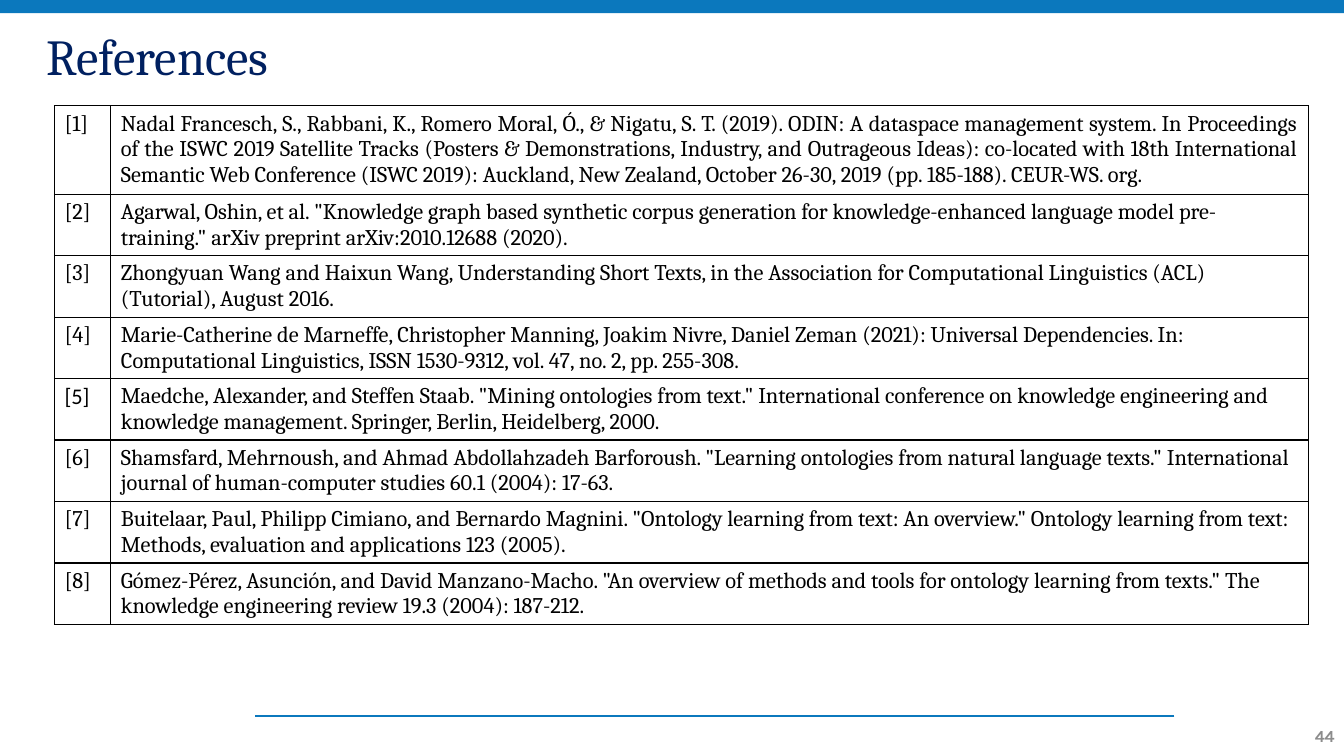
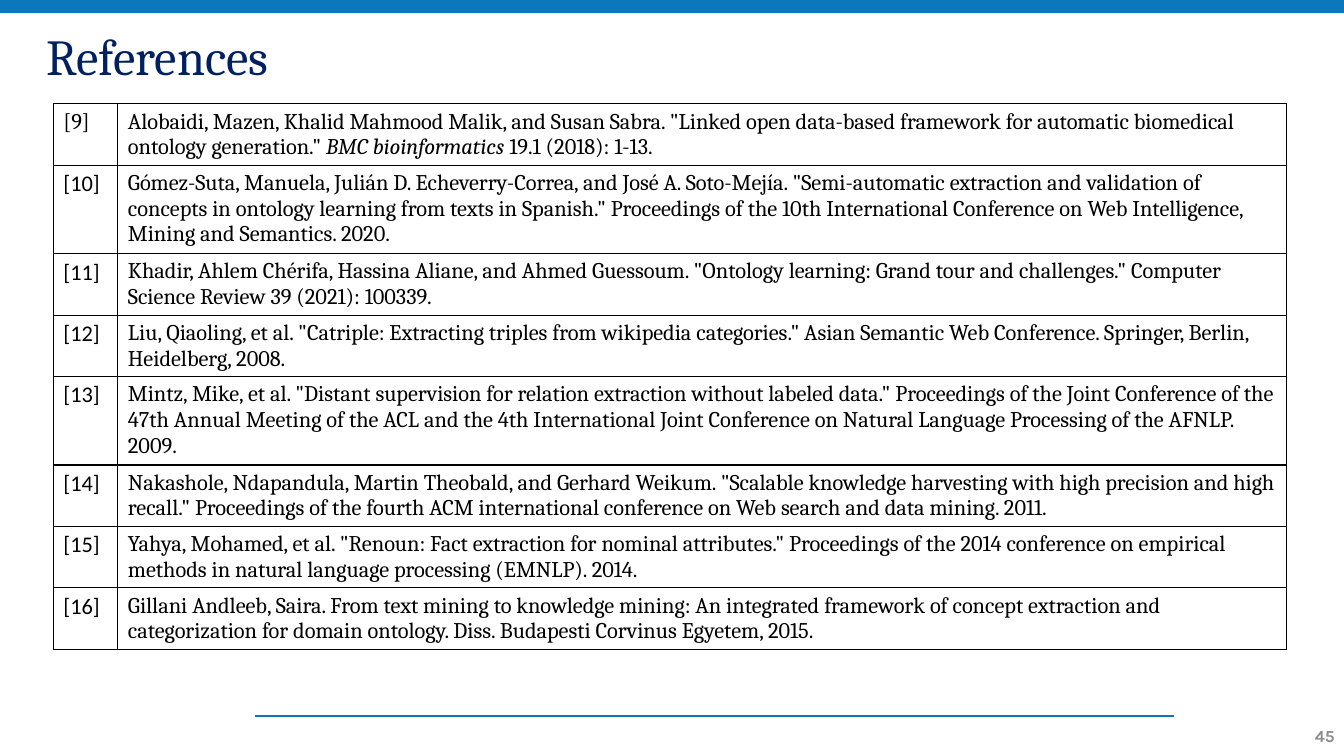
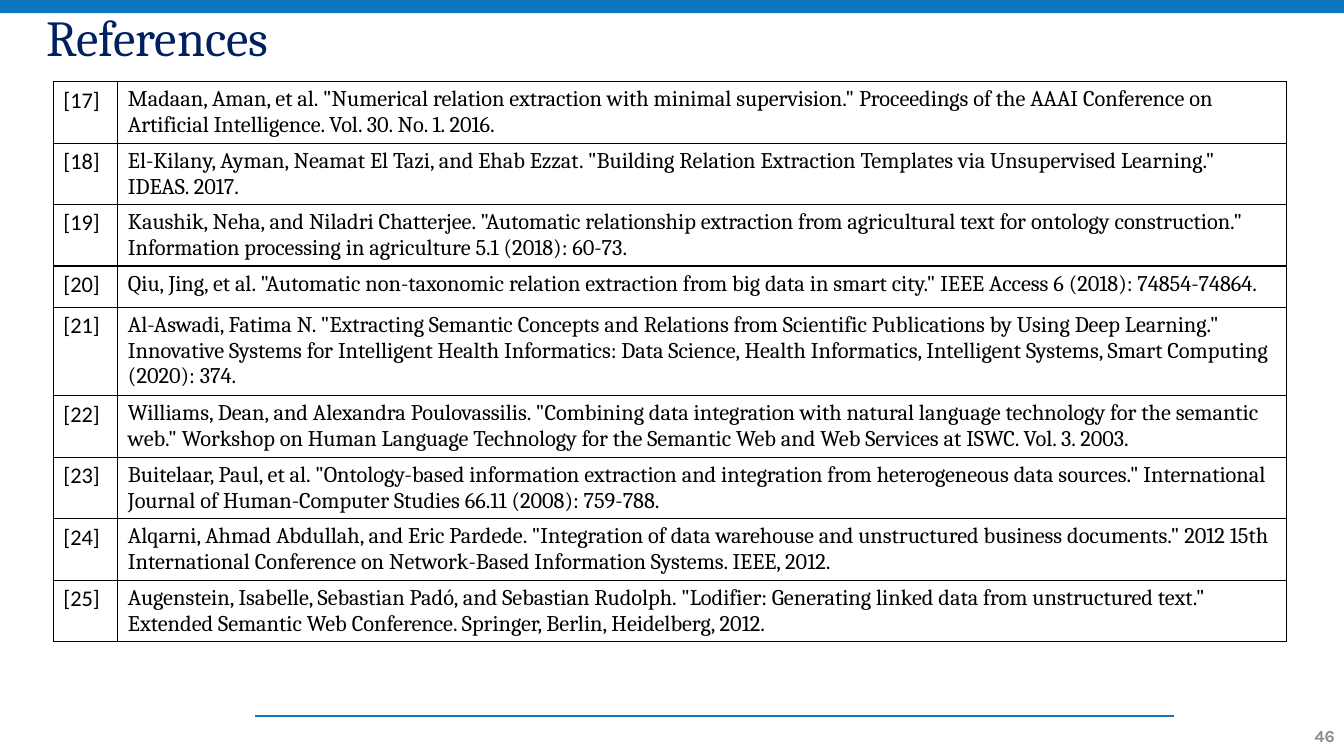
from lxml.etree import SubElement
from pptx import Presentation
from pptx.dml.color import RGBColor
from pptx.enum.shapes import MSO_CONNECTOR, MSO_SHAPE
from pptx.enum.text import MSO_ANCHOR, PP_ALIGN
from pptx.oxml import parse_xml
from pptx.oxml.ns import nsdecls, qn
from pptx.util import Inches, Pt

WIDTH, HEIGHT = 40 / 3, 7.5
BLUE, NAVY, GREY, BLACK = "0B78BD", "002060", "8C8C8C", "000000"
SERIF, SANS, NUMBER_FONT = "Cambria", "Calibri", "Karla"
ROW_HEIGHT = 0.41
FIRST_PAGE = 44
SANS_LABELS = {5, *range(10, 26)}
JUSTIFIED = {1}

PAGES = [
    {
        "title": (0.2, 0.78), "table": (0.54, 1.05), "columns": (0.56, 11.88), "first": 1,
        "references": [
            "Nadal Francesch, S., Rabbani, K., Romero Moral, Ó., & Nigatu, S. T. (2019). ODIN: A dataspace management system. In Proceedings of the ISWC 2019 Satellite Tracks (Posters & Demonstrations, Industry, and Outrageous Ideas): co-located with 18th International Semantic Web Conference (ISWC 2019): Auckland, New Zealand, October 26-30, 2019 (pp. 185-188). CEUR-WS. org.",
            'Agarwal, Oshin, et al. "Knowledge graph based synthetic corpus generation for knowledge-enhanced language model pre-training." arXiv preprint arXiv:2010.12688 (2020).',
            "Zhongyuan Wang and Haixun Wang, Understanding Short Texts, in the Association for Computational Linguistics (ACL) (Tutorial), August 2016.",
            "Marie-Catherine de Marneffe, Christopher Manning, Joakim Nivre, Daniel Zeman (2021): Universal Dependencies. In: Computational Linguistics, ISSN 1530-9312, vol. 47, no. 2, pp. 255-308.",
            'Maedche, Alexander, and Steffen Staab. "Mining ontologies from text." International conference on knowledge engineering and knowledge management. Springer, Berlin, Heidelberg, 2000.',
            'Shamsfard, Mehrnoush, and Ahmad Abdollahzadeh Barforoush. "Learning ontologies from natural language texts." International journal of human-computer studies 60.1 (2004): 17-63.',
            'Buitelaar, Paul, Philipp Cimiano, and Bernardo Magnini. "Ontology learning from text: An overview." Ontology learning from text: Methods, evaluation and applications 123 (2005).',
            'Gómez-Pérez, Asunción, and David Manzano-Macho. "An overview of methods and tools for ontology learning from texts." The knowledge engineering review 19.3 (2004): 187-212.',
        ],
    },
    {
        "title": (0.09, 0.99), "table": (0.53, 1.03), "columns": (0.64, 11.59), "first": 9,
        "references": [
            ('Alobaidi, Mazen, Khalid Mahmood Malik, and Susan Sabra. "Linked open data-based framework for automatic biomedical ontology generation." ', "BMC bioinformatics", " 19.1 (2018): 1-13."),
            'Gómez-Suta, Manuela, Julián D. Echeverry-Correa, and José A. Soto-Mejía. "Semi-automatic extraction and validation of concepts in ontology learning from texts in Spanish." Proceedings of the 10th International Conference on Web Intelligence, Mining and Semantics. 2020.',
            'Khadir, Ahlem Chérifa, Hassina Aliane, and Ahmed Guessoum. "Ontology learning: Grand tour and challenges." Computer Science Review 39 (2021): 100339.',
            'Liu, Qiaoling, et al. "Catriple: Extracting triples from wikipedia categories." Asian Semantic Web Conference. Springer, Berlin, Heidelberg, 2008.',
            'Mintz, Mike, et al. "Distant supervision for relation extraction without labeled data." Proceedings of the Joint Conference of the 47th Annual Meeting of the ACL and the 4th International Joint Conference on Natural Language Processing of the AFNLP. 2009.',
            'Nakashole, Ndapandula, Martin Theobald, and Gerhard Weikum. "Scalable knowledge harvesting with high precision and high recall." Proceedings of the fourth ACM international conference on Web search and data mining. 2011.',
            'Yahya, Mohamed, et al. "Renoun: Fact extraction for nominal attributes." Proceedings of the 2014 conference on empirical methods in natural language processing (EMNLP). 2014.',
            "Gillani Andleeb, Saira. From text mining to knowledge mining: An integrated framework of concept extraction and categorization for domain ontology. Diss. Budapesti Corvinus Egyetem, 2015.",
        ],
    },
    {
        "title": (0.02, 0.76), "table": (0.53, 0.81), "columns": (0.64, 11.59), "first": 17,
        "references": [
            'Madaan, Aman, et al. "Numerical relation extraction with minimal supervision." Proceedings of the AAAI Conference on Artificial Intelligence. Vol. 30. No. 1. 2016.',
            'El-Kilany, Ayman, Neamat El Tazi, and Ehab Ezzat. "Building Relation Extraction Templates via Unsupervised Learning." IDEAS. 2017.',
            'Kaushik, Neha, and Niladri Chatterjee. "Automatic relationship extraction from agricultural text for ontology construction." Information processing in agriculture 5.1 (2018): 60-73.',
            'Qiu, Jing, et al. "Automatic non-taxonomic relation extraction from big data in smart city." IEEE Access 6 (2018): 74854-74864.',
            'Al-Aswadi, Fatima N. "Extracting Semantic Concepts and Relations from Scientific Publications by Using Deep Learning." Innovative Systems for Intelligent Health Informatics: Data Science, Health Informatics, Intelligent Systems, Smart Computing (2020): 374.',
            'Williams, Dean, and Alexandra Poulovassilis. "Combining data integration with natural language technology for the semantic web." Workshop on Human Language Technology for the Semantic Web and Web Services at ISWC. Vol. 3. 2003.',
            'Buitelaar, Paul, et al. "Ontology-based information extraction and integration from heterogeneous data sources." International Journal of Human-Computer Studies 66.11 (2008): 759-788.',
            'Alqarni, Ahmad Abdullah, and Eric Pardede. "Integration of data warehouse and unstructured business documents." 2012 15th International Conference on Network-Based Information Systems. IEEE, 2012.',
            'Augenstein, Isabelle, Sebastian Padó, and Sebastian Rudolph. "Lodifier: Generating linked data from unstructured text." Extended Semantic Web Conference. Springer, Berlin, Heidelberg, 2012.',
        ],
    },
]


def color(value):
    return RGBColor.from_string(value)


def add_span(para, text, font, size, ink, bold=False, italic=False):
    span = para.add_run()
    span.text = text
    span.font.name = font
    span.font.size = Pt(size)
    span.font.color.rgb = color(ink)
    span.font.bold = bold
    span.font.italic = italic


def add_text(page, left, top, width, height):
    box = page.shapes.add_textbox(*map(Inches, (left, top, width, height)))
    box.text_frame.word_wrap = True
    box.text_frame.vertical_anchor = MSO_ANCHOR.MIDDLE
    return box.text_frame.paragraphs[0]


def add_frame(page, title_place, number):
    band = page.shapes.add_shape(MSO_SHAPE.RECTANGLE, 0, 0, Inches(WIDTH), Inches(0.13))
    band.shadow.inherit = False
    band.fill.solid()
    band.fill.fore_color.rgb = color(BLUE)
    band.line.fill.background()

    rule = page.shapes.add_connector(
        MSO_CONNECTOR.STRAIGHT, *map(Inches, (11.65, 7.1, 2.53, 7.1)))
    rule.line.color.rgb = color(BLUE)
    rule.line.width = Pt(1.5)
    SubElement(rule._element.spPr, qn("a:effectLst"))

    top, height = title_place
    title = add_text(page, 0.36, top, 12.61, height)
    title.line_spacing = 0.9
    add_span(title, "References", SERIF, 36, NAVY)

    footer = add_text(page, 12.87, 7.1, 0.47, 0.4)
    footer.alignment = PP_ALIGN.RIGHT
    add_span(footer, str(number), NUMBER_FONT, 12, GREY, bold=True)


def style_cell(cell):
    cell.margin_bottom = Pt(1.9)
    cell.fill.background()
    properties = cell._tc.get_or_add_tcPr()
    for position, side in enumerate(("lnL", "lnR", "lnT", "lnB")):
        properties.insert(position, parse_xml(
            f'<a:{side} {nsdecls("a")} w="{Pt(1)}"><a:solidFill>'
            f'<a:srgbClr val="{BLACK}"/></a:solidFill></a:{side}>'))


def add_references(page, place, columns, first, references):
    count = len(references)
    table = page.shapes.add_table(
        count, len(columns),
        *map(Inches, (*place, sum(columns), count * ROW_HEIGHT))).table
    table.first_row = False
    table.horz_banding = False
    for column, width in zip(table.columns, columns):
        column.width = Inches(width)
    for row, (number, reference) in zip(table.rows, enumerate(references, first)):
        row.height = Inches(ROW_HEIGHT)
        for cell in row.cells:
            style_cell(cell)
        label, entry = (cell.text_frame.paragraphs[0] for cell in row.cells)
        add_span(label, f"[{number}]", SANS if number in SANS_LABELS else SERIF, 16, BLACK)
        if number in JUSTIFIED:
            entry.alignment = PP_ALIGN.JUSTIFY
        parts = (reference,) if isinstance(reference, str) else reference
        for index, part in enumerate(parts):
            add_span(entry, part, SERIF, 16, BLACK, italic=index == 1)


def main():
    deck = Presentation()
    deck.slide_width, deck.slide_height = Inches(WIDTH), Inches(HEIGHT)
    for number, content in enumerate(PAGES, FIRST_PAGE):
        page = deck.slides.add_slide(deck.slide_layouts[6])
        add_frame(page, content["title"], number)
        add_references(page, content["table"], content["columns"],
                       content["first"], content["references"])
    deck.save("out.pptx")


if __name__ == "__main__":
    main()
